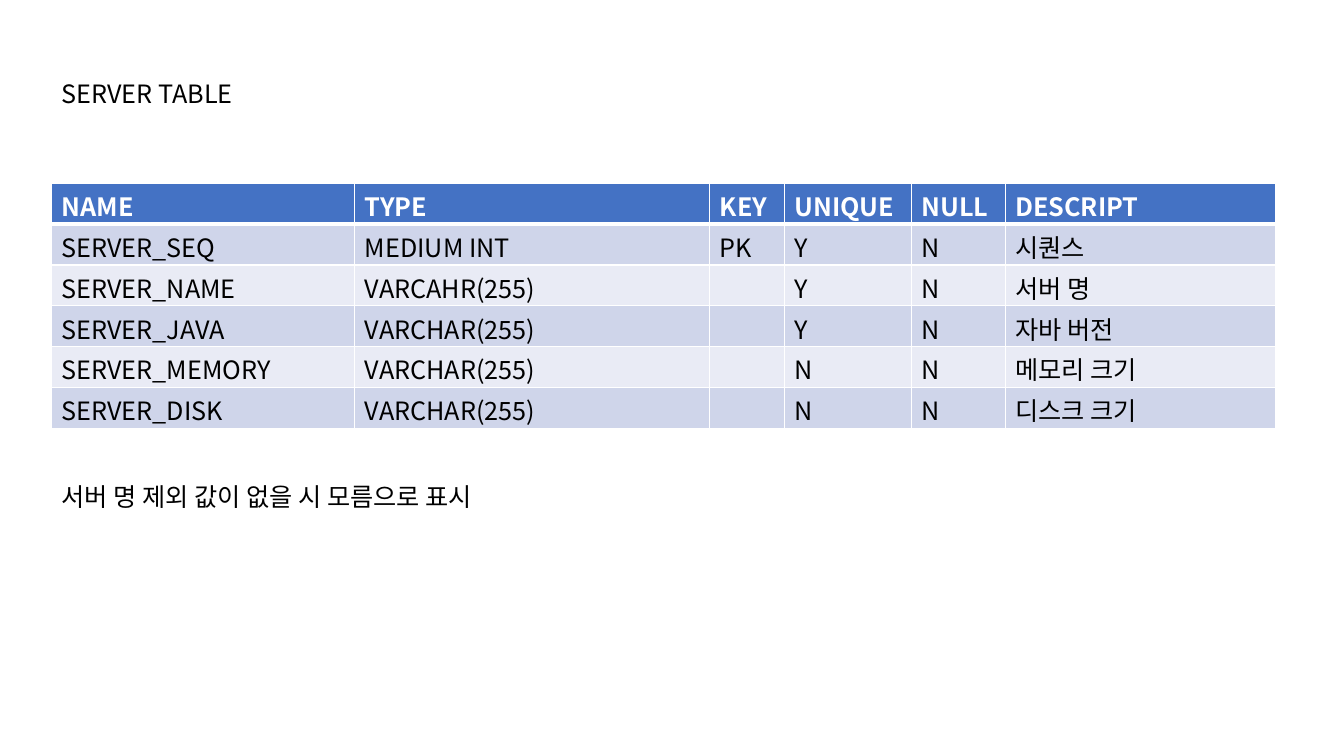
import pptx
import pptx.dml.color
import pptx.enum.text
import pptx.oxml.ns
import pptx.util
from lxml import etree

Inches = pptx.util.Inches
RGBColor = pptx.dml.color.RGBColor
qn = pptx.oxml.ns.qn

BLACK = RGBColor(0x00, 0x00, 0x00)
WHITE = RGBColor(0xFF, 0xFF, 0xFF)
HEADER_BLUE = RGBColor(0x44, 0x72, 0xC4)
BANDS = (RGBColor(0xCF, 0xD5, 0xEA), RGBColor(0xE9, 0xEB, 0xF5))

LEFT = 0.51
COLUMN_WIDTHS = (3.01, 3.52, 0.74, 1.26, 0.93, 2.68)
TABLE_HEIGHT = 2.43
ROWS = (
    ("NAME", "TYPE", "KEY", "UNIQUE", "NULL", "DESCRIPT"),
    ("SERVER_SEQ", "MEDIUM INT", "PK", "Y", "N", "시퀀스"),
    ("SERVER_NAME", "VARCAHR(255)", "", "Y", "N", "서버 명"),
    ("SERVER_JAVA", "VARCHAR(255)", "", "Y", "N", "자바 버전"),
    ("SERVER_MEMORY", "VARCHAR(255)", "", "N", "N", "메모리 크기"),
    ("SERVER_DISK", "VARCHAR(255)", "", "N", "N", "디스크 크기"),
)


class SlideBuilder:
    font_name = "Noto Sans CJK KR"
    font_size = pptx.util.Pt(18)

    def __init__(self, slide):
        self.slide = slide

    def add_text(self, paragraph, text, color=BLACK, bold=False):
        paragraph.alignment = pptx.enum.text.PP_ALIGN.LEFT
        run = paragraph.add_run()
        run.text = text
        run.font.name = self.font_name
        run.font.size = self.font_size
        run.font.bold = bold
        run.font.color.rgb = color
        # Korean letters take the East Asian font
        east_asian = etree.SubElement(run.font._element, qn("a:ea"))
        east_asian.set("typeface", self.font_name)

    def line_of_text(self, shape, top, text):
        shape.left, shape.top = Inches(LEFT), Inches(top)
        shape.width, shape.height = Inches(6.28), Inches(0.4)
        frame = shape.text_frame
        frame.word_wrap = True
        frame.auto_size = pptx.enum.text.MSO_AUTO_SIZE.NONE
        frame.vertical_anchor = pptx.enum.text.MSO_ANCHOR.MIDDLE
        self.add_text(frame.paragraphs[0], text)

    def title(self, top, text):
        self.line_of_text(self.slide.shapes.title, top, text)

    def note(self, top, text):
        box = self.slide.shapes.add_textbox(0, 0, 0, 0)
        self.line_of_text(box, top, text)

    def border(self, side, points):
        line = etree.Element(qn("a:" + side), w=str(pptx.util.Pt(points)))
        fill = etree.SubElement(line, qn("a:solidFill"))
        etree.SubElement(fill, qn("a:srgbClr"), val=str(WHITE))
        return line

    def cell(self, cell, text, row_index):
        is_header = row_index == 0
        cell.margin_top, cell.margin_bottom = Inches(0.04), 0
        cell.fill.solid()
        cell.fill.fore_color.rgb = HEADER_BLUE if is_header else BANDS[(row_index - 1) % 2]
        if text:
            self.add_text(cell.text_frame.paragraphs[0], text,
                          WHITE if is_header else BLACK, is_header)
        # Borders come before the fill in the cell properties
        widths = {"lnL": 1, "lnR": 1, "lnT": 3 if row_index == 1 else 1,
                  "lnB": 3 if is_header else 1}
        properties = cell._tc.get_or_add_tcPr()
        for position, (side, points) in enumerate(widths.items()):
            properties.insert(position, self.border(side, points))

    def table(self, top, height, rows, column_widths):
        frame = self.slide.shapes.add_table(
            len(rows), len(column_widths), Inches(LEFT), Inches(top),
            Inches(sum(column_widths)), Inches(height))
        table = frame.table
        for column, width in zip(table.columns, column_widths):
            column.width = Inches(width)
        for row_index, texts in enumerate(rows):
            for column_index, text in enumerate(texts):
                self.cell(table.cell(row_index, column_index), text, row_index)


def main():
    presentation = pptx.Presentation()
    presentation.slide_width = Inches(13.33)
    presentation.slide_height = Inches(7.5)
    title_only = presentation.slide_layouts[5]
    builder = SlideBuilder(presentation.slides.add_slide(title_only))

    # Heading
    builder.title(0.73, "SERVER TABLE")
    # Column definitions
    builder.table(1.82, TABLE_HEIGHT, ROWS, COLUMN_WIDTHS)
    # Remark below the table
    builder.note(4.73, "서버 명 제외 값이 없을 시 모름으로 표시")

    presentation.save("out.pptx")


if __name__ == "__main__":
    main()
